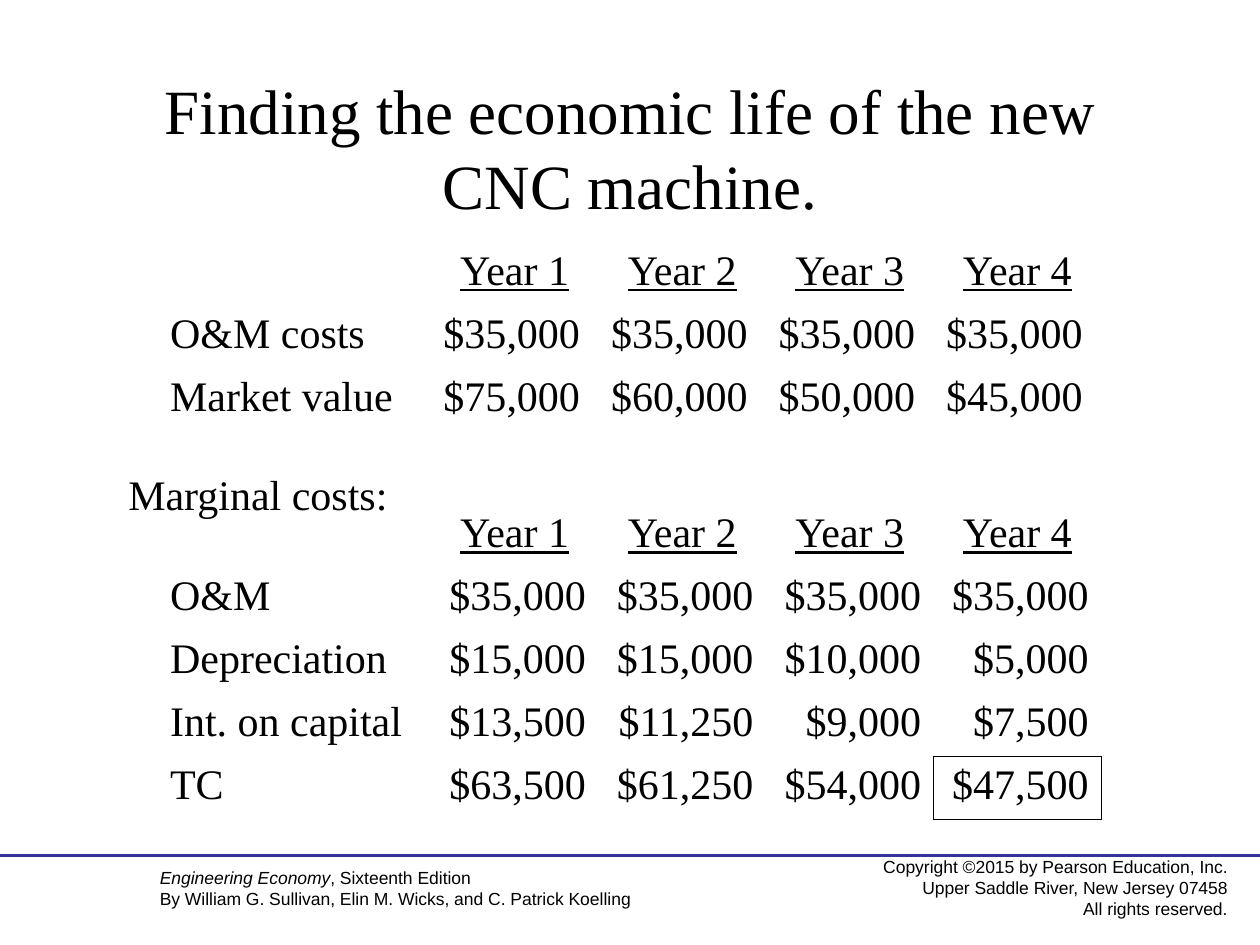
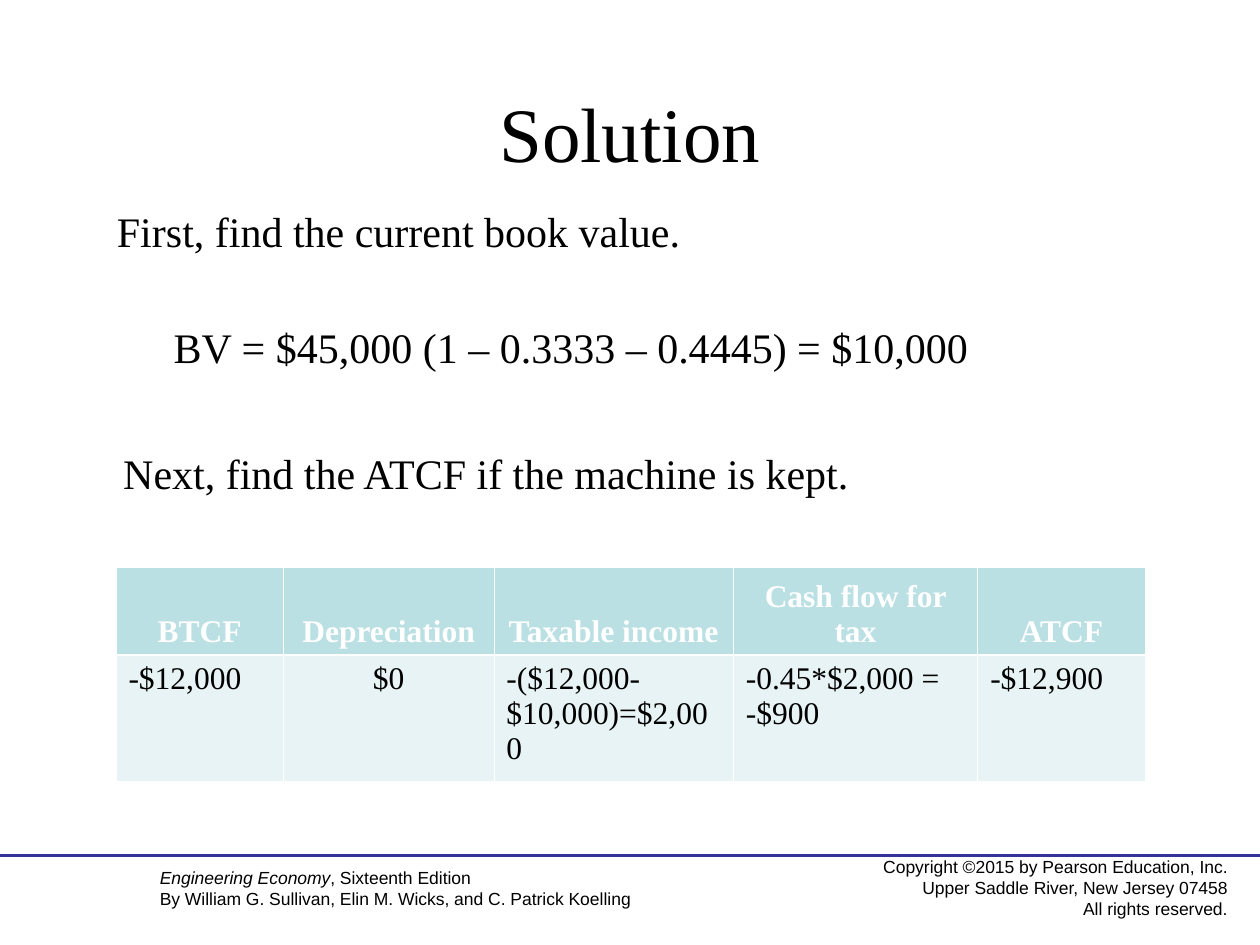
import pptx
import pptx.util
import pptx.dml.color
import pptx.enum.shapes
import pptx.enum.text
import pptx.oxml.ns
from lxml import etree

Inches = pptx.util.Inches
Pt = pptx.util.Pt
RGBColor = pptx.dml.color.RGBColor
ALIGN = pptx.enum.text.PP_ALIGN
ANCHOR = pptx.enum.text.MSO_ANCHOR
qn = pptx.oxml.ns.qn

BLACK = RGBColor(0x00, 0x00, 0x00)
WHITE = RGBColor(0xFF, 0xFF, 0xFF)
RULE_BLUE = RGBColor(0x33, 0x33, 0x99)
HEADER_TEAL = RGBColor(0xBB, 0xE0, 0xE3)
BODY_TEAL = RGBColor(0xE7, 0xF3, 0xF4)
SERIF = "Times New Roman"
SANS = "Arial"
NO_STYLE = "{2D5ABB26-0587-4C30-8999-92F81FD0307C}"
THIN, THICK = 0.45, 1.47

YEARS = ["", "Year 1", "Year 2", "Year 3", "Year 4"]
YEAR_COLS = [2.17] + [1.33] * 4
GIVEN = [
    YEARS,
    ["O&M costs"] + ["$35,000"] * 4,
    ["Market value", "$75,000", "$60,000", "$50,000", "$45,000"],
]
MARGINAL = [
    YEARS,
    ["O&M"] + ["$35,000"] * 4,
    ["Depreciation", "$15,000", "$15,000", "$10,000", "$5,000"],
    ["Int. on capital", "$13,500", "$11,250", "$9,000", "$7,500"],
    ["TC", "$63,500", "$61,250", "$54,000", "$47,500"],
]
ATCF = [
    ["BTCF", "Depreciation", "Taxable income", "Cash flow for tax", "ATCF"],
    ["-$12,000", "$0", "-($12,000-$10,000)=$2,000", "-0.45*$2,000 =\n-$900", "-$12,900"],
]


def add_run(p, text, size, font=SERIF, color=BLACK, bold=False, italic=False, underline=False):
    """Add one formatted run to a paragraph."""
    r = p.add_run()
    r.text = text
    f = r.font
    f.size, f.name, f.color.rgb = Pt(size), font, color
    f.bold, f.italic, f.underline = bold, italic, underline


def fill_text(tf, text, size, align=ALIGN.LEFT, **style):
    """Write each line of text as a paragraph."""
    for i, line in enumerate(text.split("\n")):
        p = tf.add_paragraph() if i else tf.paragraphs[0]
        p.alignment = align
        add_run(p, line, size, **style)


def add_box(s, left, top, width, height, wrap=True, anchor=ANCHOR.TOP):
    """Add an empty text box and return its text frame."""
    sp = s.shapes.add_textbox(Inches(left), Inches(top), Inches(width), Inches(height))
    tf = sp.text_frame
    tf.word_wrap, tf.vertical_anchor = wrap, anchor
    return tf


def add_title(s, text, top, height, size):
    """Add the centred slide title."""
    tf = add_box(s, 0.75, top, 8.5, height, anchor=ANCHOR.MIDDLE)
    fill_text(tf, text, size, ALIGN.CENTER)


def add_body(s, text, left, top, width, wrap=True):
    """Add one line of body text."""
    fill_text(add_box(s, left, top, width, 0.5, wrap), text, 24)


def add_footer(s):
    """Add the copyright, the book reference and the rule above them."""
    tf = add_box(s, 6.67, 6.75, 3.17, 0.59, anchor=ANCHOR.MIDDLE)
    fill_text(tf, "Copyright ©2015 by Pearson Education, Inc.\n"
              "Upper Saddle River, New Jersey 07458\nAll rights reserved.",
              10, ALIGN.RIGHT, font=SANS)
    tf = add_box(s, 1.17, 6.83, 5, 0.44)
    fill_text(tf, "Engineering Economy", 10, font=SANS, italic=True)
    add_run(tf.paragraphs[0], ", Sixteenth Edition", 10, SANS)
    add_run(tf.add_paragraph(), "By William G. Sullivan, Elin M. Wicks, and C. Patrick Koelling", 10, SANS)
    line = s.shapes.add_connector(pptx.enum.shapes.MSO_CONNECTOR.STRAIGHT,
                                  0, Inches(6.79), Inches(10), Inches(6.79))
    line.line.color.rgb, line.line.width = RULE_BLUE, Pt(2.25)
    etree.SubElement(line._element.spPr, qn("a:effectLst"))


def add_grid(s, left, top, cols, rows, count):
    """Add an unstyled table with the given column widths and row heights."""
    frame = s.shapes.add_table(count, len(cols), Inches(left), Inches(top),
                               Inches(sum(cols)), Inches(sum(rows)))
    table = frame.table
    table.first_row = table.horz_banding = False
    table._tbl.tblPr.find(qn("a:tableStyleId")).text = NO_STYLE
    for column, width in zip(table.columns, cols):
        column.width = Inches(width)
    for row, height in zip(table.rows, rows):
        row.height = Inches(height)
    return table


def set_borders(cell, color, **widths):
    """Draw the named sides (L, R, T, B) of a cell, widths in points."""
    tcPr = cell._tc.get_or_add_tcPr()
    for i, side in enumerate(side for side in "LRTB" if side in widths):
        ln = etree.Element(qn("a:ln" + side), w=str(int(Pt(widths[side]))))
        fill = etree.SubElement(ln, qn("a:solidFill"))
        etree.SubElement(fill, qn("a:srgbClr"), val=str(color))
        tcPr.insert(i, ln)


def add_year_table(s, top, data, value_align):
    """Add a table of yearly amounts with underlined headings."""
    table = add_grid(s, 1.25, top, YEAR_COLS, [0.5] * len(data), len(data))
    for i, values in enumerate(data):
        for j, value in enumerate(values):
            cell = table.cell(i, j)
            cell.fill.background()
            if value:
                align = ALIGN.CENTER if i == 0 else value_align if j else ALIGN.LEFT
                fill_text(cell.text_frame, value, 24, align, underline=i == 0)
    return table


def add_atcf_table(s):
    """Add the after-tax cash flow table."""
    table = add_grid(s, 0.92, 4.5, [1.33, 1.67, 1.9, 1.94, 1.33], [0.7, 1], len(ATCF))
    for i, values in enumerate(ATCF):
        head = i == 0
        for j, value in enumerate(values):
            cell = table.cell(i, j)
            cell.vertical_anchor = ANCHOR.BOTTOM if head else ANCHOR.TOP
            cell.fill.solid()
            cell.fill.fore_color.rgb = HEADER_TEAL if head else BODY_TEAL
            align = ALIGN.CENTER if head or j == 1 else ALIGN.LEFT
            fill_text(cell.text_frame, value, 18, align, color=WHITE if head else BLACK, bold=head)
            set_borders(cell, WHITE, L=THIN, R=THIN,
                        T=THIN if head else THICK, B=THICK if head else THIN)


def build_economic_life(s):
    """Build the slide on the economic life of the machine."""
    add_title(s, "Finding the economic life of the new CNC machine.", 0.58, 1.17, 36)
    add_year_table(s, 1.92, GIVEN, ALIGN.LEFT)
    add_body(s, "Marginal costs:", 0.92, 3.67, 2.33)
    table = add_year_table(s, 4, MARGINAL, ALIGN.RIGHT)
    set_borders(table.cell(3, 4), BLACK, B=THIN)
    set_borders(table.cell(4, 3), BLACK, R=THIN)
    set_borders(table.cell(4, 4), BLACK, L=THIN, R=THIN, T=THIN, B=THIN)


def build_solution(s):
    """Build the slide with the book value and cash flow solution."""
    add_body(s, "First, find the current book value.", 0.83, 1.58, 8.33)
    add_title(s, "Solution", 0.67, 0.75, 44)
    add_body(s, "BV = $45,000 (1 – 0.3333 – 0.4445) = $10,000", 1.28, 2.5, 6.51, wrap=False)
    add_body(s, "Next, find the ATCF if the machine is kept.", 0.88, 3.5, 6.1, wrap=False)
    add_atcf_table(s)


def main():
    """Build and save the presentation."""
    prs = pptx.Presentation()
    prs.slide_width, prs.slide_height = Inches(10), Inches(7.5)
    for build in (build_economic_life, build_solution):
        s = prs.slides.add_slide(prs.slide_layouts[6])
        add_footer(s)
        build(s)
    prs.save("out.pptx")


if __name__ == "__main__":
    main()
